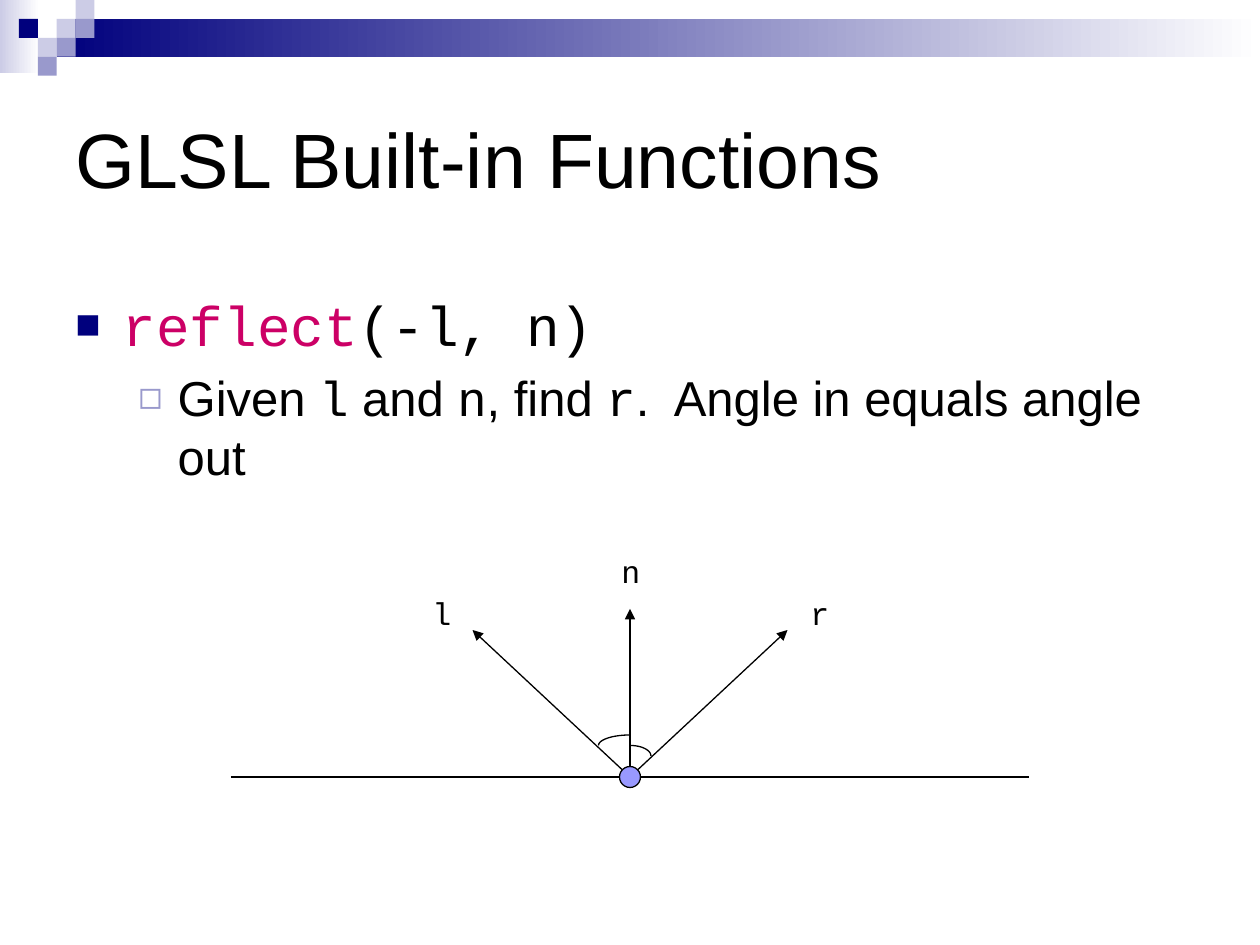
"""Build the slide on the GLSL reflect function with its angle diagram."""
from math import cos, pi, sin

from lxml.etree import SubElement
from pptx import Presentation
from pptx.dml.color import RGBColor
from pptx.enum.shapes import MSO_CONNECTOR as Connector, MSO_SHAPE as Shape
from pptx.enum.text import MSO_ANCHOR as Anchor, MSO_AUTO_SIZE as AutoSize
from pptx.oxml.ns import qn
from pptx.util import Pt

BLACK = RGBColor(0x00, 0x00, 0x00)
WHITE = RGBColor(0xFF, 0xFF, 0xFF)
NAVY = RGBColor(0x00, 0x00, 0x7D)
PALE = RGBColor(0xCC, 0xCC, 0xE6)
LILAC = RGBColor(0x99, 0x99, 0xCC)
VIOLET = RGBColor(0x99, 0x99, 0xFF)
MAGENTA = RGBColor(0xCC, 0x00, 0x66)
SANS, MONO = "Arial", "Courier New"

TILE = 10.8
BANDS = [(0, 0, 22.5, 42, PALE), (32.4, TILE, 687.6, 21.6, NAVY)]
TILES = [(3, 1, PALE), (4, 0, PALE), (4, 1, LILAC), (2, 2, PALE),
         (1, 1, NAVY), (3, 2, LILAC), (2, 3, LILAC)]

TITLE = [("GLSL Built-in Functions", SANS, BLACK)]
CALL = [("reflect", MONO, MAGENTA), ("(-l, n)", MONO, BLACK)]
EXPLANATION = [("Given ", SANS, BLACK), ("l", MONO, BLACK), (" and ", SANS, BLACK),
               ("n", MONO, BLACK), (", find ", SANS, BLACK), ("r", MONO, BLACK),
               (".  Angle in equals angle out", SANS, BLACK)]

HIT_X, HIT_Y, HIT_RADIUS = 360, 444, 6
FLOOR_HALF = 228
VECTORS = [("n", 0, -96, 348, 312), ("l", -90, -84, 240, 336), ("r", 90, -84, 456, 336)]
ARCS = [(12, 6, 432), (-18, 6, 426)]
ARC_STEPS = 16


def add_filled(slide, kind, left, top, width, height, color, fade=False):
    shape = slide.shapes.add_shape(kind, Pt(left), Pt(top), Pt(width), Pt(height))
    shape.shadow.inherit = False
    shape.line.fill.background()
    if fade:
        shape.fill.gradient()
        shape.fill.gradient_angle = 0
        for stop, stop_color in zip(shape.fill.gradient_stops, (color, WHITE)):
            stop.color.rgb = stop_color
    else:
        shape.fill.solid()
        shape.fill.fore_color.rgb = color
    return shape


def outline(shape):
    shape.line.color.rgb = BLACK
    shape.line.width = Pt(0.75)


def add_line(slide, start, end, arrow=False):
    line = slide.shapes.add_connector(Connector.STRAIGHT, *map(Pt, start + end))
    outline(line)
    if arrow:
        SubElement(line.line._get_or_add_ln(), qn("a:tailEnd"), type="triangle")
    SubElement(line._element.spPr, qn("a:effectLst"))


def add_arc(slide, radius_x, radius_y, center_y):
    angles = [pi / 2 * step / ARC_STEPS for step in range(ARC_STEPS + 1)]
    points = [(Pt(HIT_X + radius_x * sin(angle)), Pt(center_y - radius_y * cos(angle)))
              for angle in angles]
    builder = slide.shapes.build_freeform(*points[0])
    builder.add_line_segments(points[1:], close=False)
    arc = builder.convert_to_shape()
    arc.shadow.inherit = False
    arc.fill.background()
    outline(arc)


def add_text_box(slide, left, top, width, height):
    box = slide.shapes.add_textbox(Pt(left), Pt(top), Pt(width), Pt(height))
    box.text_frame.word_wrap = True
    return box.text_frame


def add_runs(paragraph, runs, size):
    for text, font_name, color in runs:
        run = paragraph.add_run()
        run.text = text
        run.font.name = font_name
        run.font.size = Pt(size)
        run.font.color.rgb = color


def add_bullet(paragraph, character, color, percent, margin, hanging):
    properties = paragraph._p.get_or_add_pPr()
    properties.set("marL", str(Pt(margin)))
    properties.set("indent", str(-Pt(hanging)))
    bullet_color = SubElement(properties, qn("a:buClr"))
    SubElement(bullet_color, qn("a:srgbClr"), val=str(color))
    SubElement(properties, qn("a:buSzPct"), val=str(percent * 1000))
    SubElement(properties, qn("a:buFont"), typeface=SANS)
    SubElement(properties, qn("a:buChar"), char=character)


def add_header(slide):
    for band in BANDS:
        add_filled(slide, Shape.RECTANGLE, *band, fade=True)
    for column, row, color in TILES:
        add_filled(slide, Shape.RECTANGLE, column * TILE, row * TILE, TILE, TILE, color)


def add_content(slide):
    title = add_text_box(slide, 36, 36, 648, 108)
    title.vertical_anchor = Anchor.MIDDLE
    add_runs(title.paragraphs[0], TITLE, 44)

    body = add_text_box(slide, 36, 156, 648, 306)
    body.margin_top = Pt(10)
    call = body.paragraphs[0]
    add_bullet(call, "■", NAVY, 75, 27, 27)
    add_runs(call, CALL, 32)
    explanation = body.add_paragraph()
    explanation.level = 1
    add_bullet(explanation, "◻", LILAC, 80, 58.5, 22.5)
    explanation.space_before = Pt(5.6)
    add_runs(explanation, EXPLANATION, 28)


def add_diagram(slide):
    add_line(slide, (HIT_X - FLOOR_HALF, HIT_Y), (HIT_X + FLOOR_HALF, HIT_Y))
    for name, offset_x, offset_y, label_left, label_top in VECTORS:
        add_line(slide, (HIT_X, HIT_Y), (HIT_X + offset_x, HIT_Y + offset_y), arrow=True)
        label = add_text_box(slide, label_left, label_top, 25.2, 28.8)
        label.word_wrap = False
        label.auto_size = AutoSize.SHAPE_TO_FIT_TEXT
        add_runs(label.paragraphs[0], [(name, MONO, BLACK)], 18)
    hit_point = add_filled(slide, Shape.OVAL, HIT_X - HIT_RADIUS, HIT_Y - HIT_RADIUS,
                           2 * HIT_RADIUS, 2 * HIT_RADIUS, VIOLET)
    outline(hit_point)
    for arc in ARCS:
        add_arc(slide, *arc)


def main():
    presentation = Presentation()
    presentation.slide_width, presentation.slide_height = Pt(720), Pt(540)
    slide = presentation.slides.add_slide(presentation.slide_layouts[6])
    add_header(slide)
    add_content(slide)
    add_diagram(slide)
    presentation.save("out.pptx")


if __name__ == "__main__":
    main()
